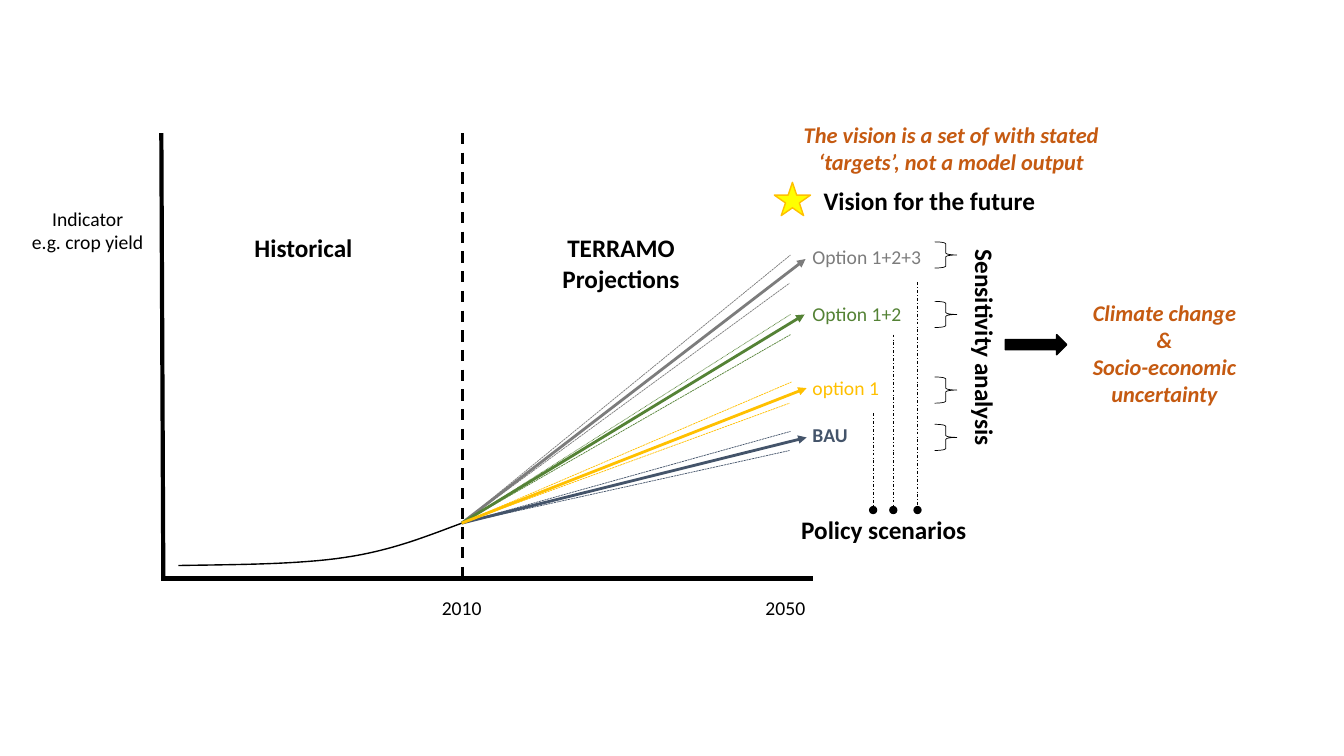
from lxml import etree
from pptx import Presentation
from pptx.dml.color import RGBColor
from pptx.enum.dml import MSO_LINE
from pptx.enum.shapes import MSO_CONNECTOR, MSO_SHAPE
from pptx.enum.text import MSO_AUTO_SIZE, PP_ALIGN
from pptx.oxml.ns import qn
from pptx.util import Inches, Pt

STRAIGHT = MSO_CONNECTOR.STRAIGHT
STAR, BRACE, ARROW = MSO_SHAPE.STAR_5_POINT, MSO_SHAPE.RIGHT_BRACE, MSO_SHAPE.RIGHT_ARROW
DASH, DASH_DOT = MSO_LINE.DASH, MSO_LINE.DASH_DOT
SYS_DASH, SYS_DOT = MSO_LINE.SQUARE_DOT, MSO_LINE.ROUND_DOT
LEFT, CENTER = PP_ALIGN.LEFT, PP_ALIGN.CENTER
FIT = MSO_AUTO_SIZE.SHAPE_TO_FIT_TEXT

BLACK = RGBColor(0x00, 0x00, 0x00)
SLATE = RGBColor(0x44, 0x54, 0x6A)
GRAY = RGBColor(0x7C, 0x7C, 0x7C)
GREEN = RGBColor(0x54, 0x82, 0x35)
GOLD = RGBColor(0xFF, 0xC0, 0x00)
YELLOW = RGBColor(0xFF, 0xFF, 0x00)
RUST = RGBColor(0xC5, 0x5A, 0x11)

AXIS_TOP, AXIS_BOTTOM = 1.32, 5.74
AXIS_LEFT, AXIS_RIGHT = 1.62, 8.06
BASE_YEAR = (4.58, 5.19)
LABEL_LEFT, BRACE_LEFT = 7.96, 9.27
POLICY_DOT_Y = 5.06

# label, colour, bold, label top, label width, brace top, arrow tip, range line ends with dashes
SCENARIOS = [
    ("BAU", SLATE, True, 4.15, 0.55, 4.21, (8, 4.34),
     [(7.84, 4.28, SYS_DASH), (7.83, 4.47, SYS_DASH)]),
    ("Option 1+2+3", GRAY, False, 2.38, 1.29, 2.4, (7.99, 2.57),
     [(7.84, 2.53, SYS_DASH), (7.83, 2.81, SYS_DASH)]),
    ("Option 1+2", GREEN, False, 2.95, 1.1, 2.99, (7.98, 3.12),
     [(7.84, 3.12, SYS_DOT), (7.84, 3.32, SYS_DASH)]),
    ("option 1", GOLD, False, 3.68, 0.87, 3.74, (8, 3.85),
     [(7.85, 3.79, SYS_DASH), (7.83, 4, SYS_DASH)]),
]
POLICY_LINES = [(8.66, 4.1), (8.86, 3.32), (9.1, 2.8)]
HISTORY_CURVES = [
    [(1.77, 5.61), (2.36, 5.6), (2.95, 5.6), (3.42, 5.53)],
    [(3.42, 5.53), (3.89, 5.46), (4.23, 5.32), BASE_YEAR],
]


def bezier(points, steps=16):
    """Points along a cubic curve, without its first point."""
    (x0, y0), (x1, y1), (x2, y2), (x3, y3) = points
    for step in range(1, steps + 1):
        t = step / steps
        a, b, c, d = (1 - t) ** 3, 3 * t * (1 - t) ** 2, 3 * t * t * (1 - t), t ** 3
        yield (Inches(a * x0 + b * x1 + c * x2 + d * x3),
               Inches(a * y0 + b * y1 + c * y2 + d * y3))


class Diagram:
    """Holds the style and the slide being drawn."""
    font = "Calibri"

    def __init__(self, slide):
        self.shapes = slide.shapes

    def text(self, content, left, top, width, height, size=18, color=BLACK, bold=False,
             italic=False, align=CENTER, wrap=False, rotation=0):
        box = self.shapes.add_textbox(Inches(left), Inches(top), Inches(width), Inches(height))
        box.rotation = rotation
        frame = box.text_frame
        frame.word_wrap = wrap
        frame.auto_size = FIT
        frame.text = content
        for paragraph in frame.paragraphs:
            paragraph.alignment = align
            font = paragraph.runs[0].font
            font.name, font.size = self.font, Pt(size)
            font.bold, font.italic = bold, italic
            font.color.rgb = color

    def line(self, start, end, width, color=BLACK, dash=None, tail=None):
        connector = self.shapes.add_connector(
            STRAIGHT, *(Inches(value) for value in (*start, *end)))
        connector.line.width = Pt(width)
        connector.line.color.rgb = color
        if dash is not None:
            connector.line.dash_style = dash
        if tail:
            etree.SubElement(connector.line._get_or_add_ln(), qn("a:tailEnd"), type=tail)
        etree.SubElement(connector._element.spPr, qn("a:effectLst"))

    def finish(self, shape, fill, line, width):
        shape.shadow.inherit = False
        if fill is None:
            shape.fill.background()
        else:
            shape.fill.solid()
            shape.fill.fore_color.rgb = fill
        shape.line.color.rgb = line
        shape.line.width = Pt(width)

    def shape(self, kind, left, top, width, height, fill=None, line=BLACK, line_width=1):
        shape = self.shapes.add_shape(
            kind, Inches(left), Inches(top), Inches(width), Inches(height))
        self.finish(shape, fill, line, line_width)

    def curve(self, segments):
        x, y = segments[0][0]
        builder = self.shapes.build_freeform(Inches(x), Inches(y))
        for segment in segments:
            builder.add_line_segments(list(bezier(segment)), close=False)
        self.finish(builder.convert_to_shape(), None, BLACK, 1)


def draw_chart(diagram):
    origin = (AXIS_LEFT, AXIS_BOTTOM)
    diagram.line((1.6, AXIS_TOP), origin, 3)
    diagram.line((AXIS_RIGHT, AXIS_BOTTOM), (1.6, AXIS_BOTTOM), 3)
    diagram.line((4.59, AXIS_TOP), (4.59, AXIS_BOTTOM), 2, dash=DASH)
    diagram.curve(HISTORY_CURVES)
    diagram.text("Indicator\ne.g. crop yield", 0.21, 2, 1.32, 0.57, size=14)
    diagram.text("Historical", 2.42, 2.26, 1.18, 0.4, bold=True)
    diagram.text("TERRAMO Projections", 4.93, 2.26, 2.46, 0.4, bold=True)
    for year, left in (("2010", 4.28), ("2050", 7.49)):
        diagram.text(year, left, 5.86, 0.6, 0.34, size=14)


def draw_scenarios(diagram):
    for label, color, bold, top, width, brace_top, tip, ranges in SCENARIOS:
        for x, y, dash in ranges:
            diagram.line(BASE_YEAR, (x, y), 0.5, color, dash)
        diagram.line(BASE_YEAR, tip, 2, color, tail="triangle")
        diagram.text(label, LABEL_LEFT, top, width, 0.34, size=14, color=color,
                     bold=bold, align=LEFT)
        diagram.shape(BRACE, BRACE_LEFT, brace_top, 0.22, 0.26, line_width=0.5)
    for x, top in POLICY_LINES:
        diagram.line((x, top), (x, POLICY_DOT_Y), 0.5, dash=DASH_DOT, tail="oval")
    diagram.text("Policy scenarios", 7.84, 5.05, 1.85, 0.4, bold=True)


def draw_vision_and_uncertainty(diagram):
    remark = dict(size=16, color=RUST, bold=True, italic=True, wrap=True)
    diagram.shape(STAR, 7.68, 1.81, 0.36, 0.33, fill=YELLOW, line=GOLD)
    diagram.text("Vision for the future", 8.07, 1.79, 2.61, 0.4, bold=True,
                 align=LEFT, wrap=True)
    diagram.text("The vision is a set of with stated ‘targets’, not a model output",
                 7.49, 1.15, 3.89, 0.64, **remark)
    diagram.text("Sensitivity analysis", 8.69, 3.26, 2.16, 0.4, bold=True,
                 align=LEFT, rotation=90)
    diagram.shape(ARROW, 9.97, 3.32, 0.61, 0.2, fill=BLACK)
    diagram.text("Climate change\n&\nSocio-economic\nuncertainty",
                 10.73, 2.92, 1.64, 1.18, **remark)


def main():
    deck = Presentation()
    deck.slide_width, deck.slide_height = Inches(13.33), Inches(7.5)
    diagram = Diagram(deck.slides.add_slide(deck.slide_layouts[6]))
    draw_chart(diagram)
    draw_scenarios(diagram)
    draw_vision_and_uncertainty(diagram)
    deck.save("out.pptx")


if __name__ == "__main__":
    main()
